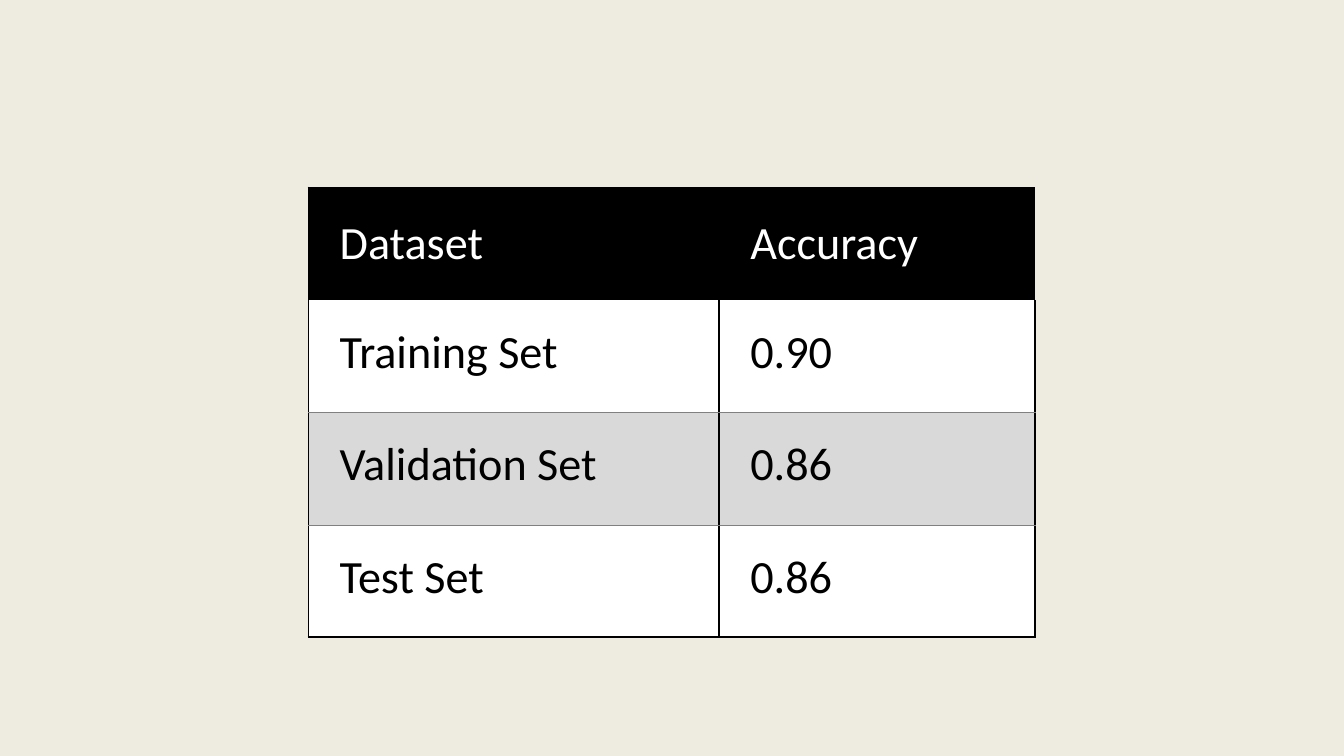
from dataclasses import dataclass

from lxml.etree import SubElement
from pptx import Presentation
from pptx.dml.color import RGBColor
from pptx.enum.shapes import MSO_SHAPE
from pptx.enum.text import MSO_ANCHOR
from pptx.oxml.ns import qn
from pptx.slide import Slide
from pptx.table import _Cell
from pptx.util import Pt


@dataclass(frozen=True)
class Theme:
    """Colours, font and type size of the slide."""
    base: str = "F2F2F2"
    tint: str = "BF9000"
    dark: str = "000000"
    light: str = "FFFFFF"
    band: str = "D9D9D9"
    rule: str = "808080"
    font: str = "Calibri"
    size: float = 33


@dataclass(frozen=True)
class Line:
    """A cell border."""
    color: str
    width: float


@dataclass(frozen=True)
class Row:
    """A table row with its look; borders are keyed by side."""
    texts: tuple[str, str]
    fill: str
    ink: str
    anchor: MSO_ANCHOR
    lines: dict[str, Line]


THEME = Theme()
WIDTH, HEIGHT = 960, 540
LEFT, TOP = 220.32, 133.92
COLS = (293.4, 225.72)
ROW = 80.35
BOLD = Line(THEME.dark, 1.5)
THIN = Line(THEME.rule, 0.5)
SIDES = {"L": BOLD, "R": BOLD}

ROWS = (
    Row(("Dataset", "Accuracy"), THEME.dark, THEME.light, MSO_ANCHOR.MIDDLE,
        {"T": BOLD}),
    Row(("Training Set", "0.90"), THEME.light, THEME.dark, MSO_ANCHOR.TOP,
        SIDES | {"B": THIN}),
    Row(("Validation Set", "0.86"), THEME.band, THEME.dark, MSO_ANCHOR.TOP,
        SIDES | {"T": THIN, "B": THIN}),
    Row(("Test Set", "0.86"), THEME.light, THEME.dark, MSO_ANCHOR.TOP,
        SIDES | {"T": THIN, "B": BOLD}),
)


def add_back(slide: Slide, color: str, alpha: int) -> None:
    """Cover the slide with one colour at a given opacity in percent."""
    back = slide.shapes.add_shape(MSO_SHAPE.RECTANGLE, 0, 0, Pt(WIDTH), Pt(HEIGHT))
    back.shadow.inherit = False
    back.line.fill.background()
    back.fill.solid()
    back.fill.fore_color.rgb = RGBColor.from_string(color)
    if alpha < 100:
        tone = back.fill._xPr.find(f".//{qn('a:srgbClr')}")
        SubElement(tone, qn("a:alpha"), val=str(alpha * 1000))


def set_lines(cell: _Cell, lines: dict[str, Line]) -> None:
    """Draw the listed borders of a cell and clear the others."""
    props = cell._tc.get_or_add_tcPr()
    for side in "LRTB":
        edge = SubElement(props, qn(f"a:ln{side}"))
        line = lines.get(side)
        if line:
            edge.set("w", str(Pt(line.width)))
            fill = SubElement(edge, qn("a:solidFill"))
            SubElement(fill, qn("a:srgbClr"), val=line.color)
        else:
            SubElement(edge, qn("a:noFill"))


def fill_cell(cell: _Cell, text: str, row: Row) -> None:
    """Write and format one cell."""
    set_lines(cell, row.lines)
    cell.fill.solid()
    cell.fill.fore_color.rgb = RGBColor.from_string(row.fill)
    cell.margin_left, cell.margin_right = Pt(22.3), Pt(46.1)
    cell.margin_top = cell.margin_bottom = Pt(17.3)
    cell.vertical_anchor = row.anchor
    cell.text = text
    font = cell.text_frame.paragraphs[0].font
    font.name, font.size = THEME.font, Pt(THEME.size)
    font.color.rgb = RGBColor.from_string(row.ink)


def add_grid(slide: Slide) -> None:
    """Add the table of accuracies."""
    table = slide.shapes.add_table(
        len(ROWS), len(COLS), Pt(LEFT), Pt(TOP),
        Pt(sum(COLS)), Pt(ROW * len(ROWS))).table
    table.first_row = table.horz_banding = False
    for col, width in zip(table.columns, COLS):
        col.width = Pt(width)
    for line, row in zip(table.rows, ROWS):
        line.height = Pt(ROW)
        left, right = line.cells
        for cell, text in zip((left, right), row.texts):
            fill_cell(cell, text, row)
    set_head = table.cell(0, 0)._tc.tcPr.find(qn("a:lnL"))
    set_head.set("w", str(Pt(BOLD.width)))
    set_head.remove(set_head[0])
    fill = SubElement(set_head, qn("a:solidFill"))
    SubElement(fill, qn("a:srgbClr"), val=BOLD.color)


def main() -> None:
    """Build and save the slide."""
    deck = Presentation()
    deck.slide_width, deck.slide_height = Pt(WIDTH), Pt(HEIGHT)
    slide = deck.slides.add_slide(deck.slide_layouts[6])
    for color, alpha in ((THEME.base, 100), (THEME.tint, 7)):
        add_back(slide, color, alpha)
    add_grid(slide)
    deck.save("out.pptx")


if __name__ == "__main__":
    main()
